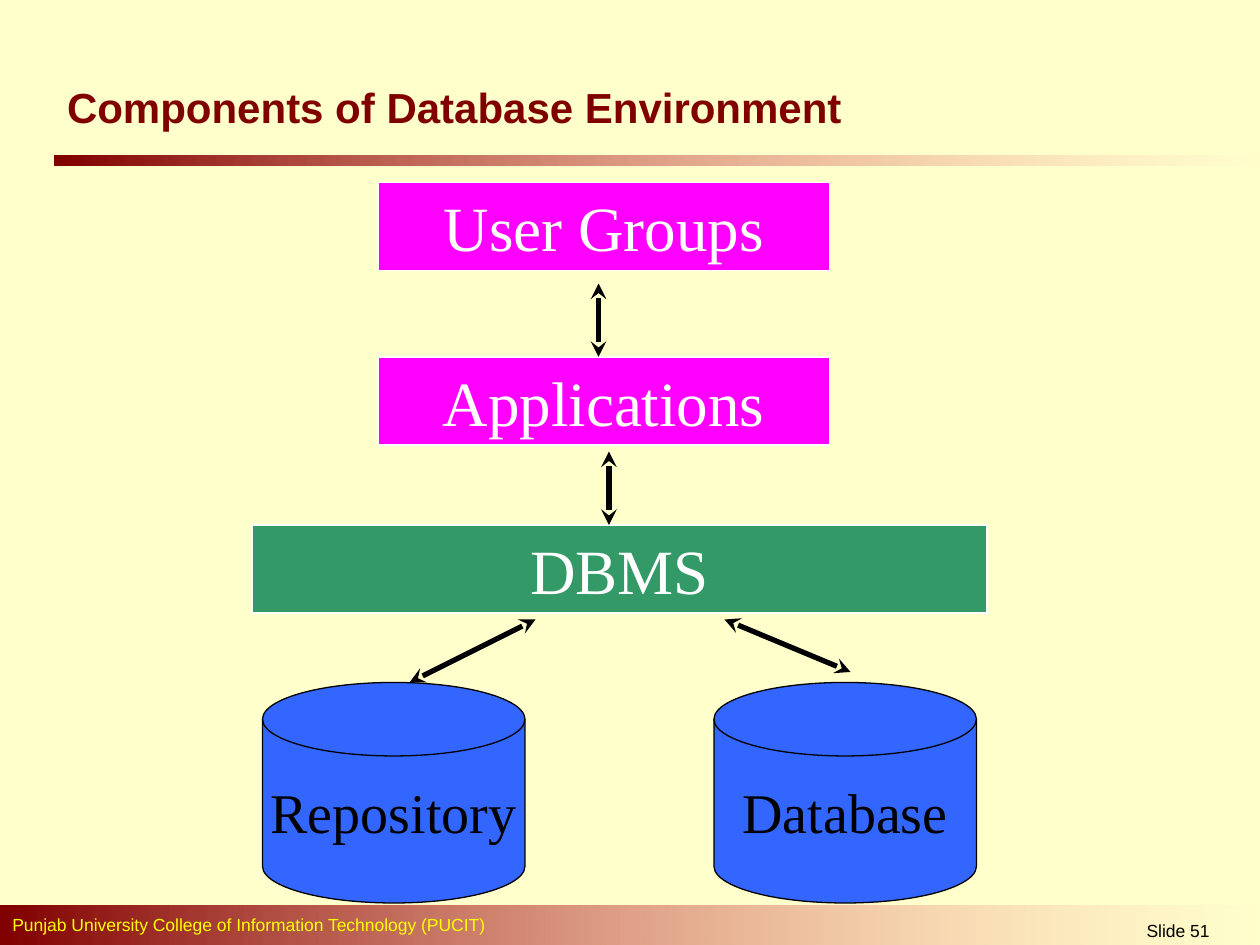
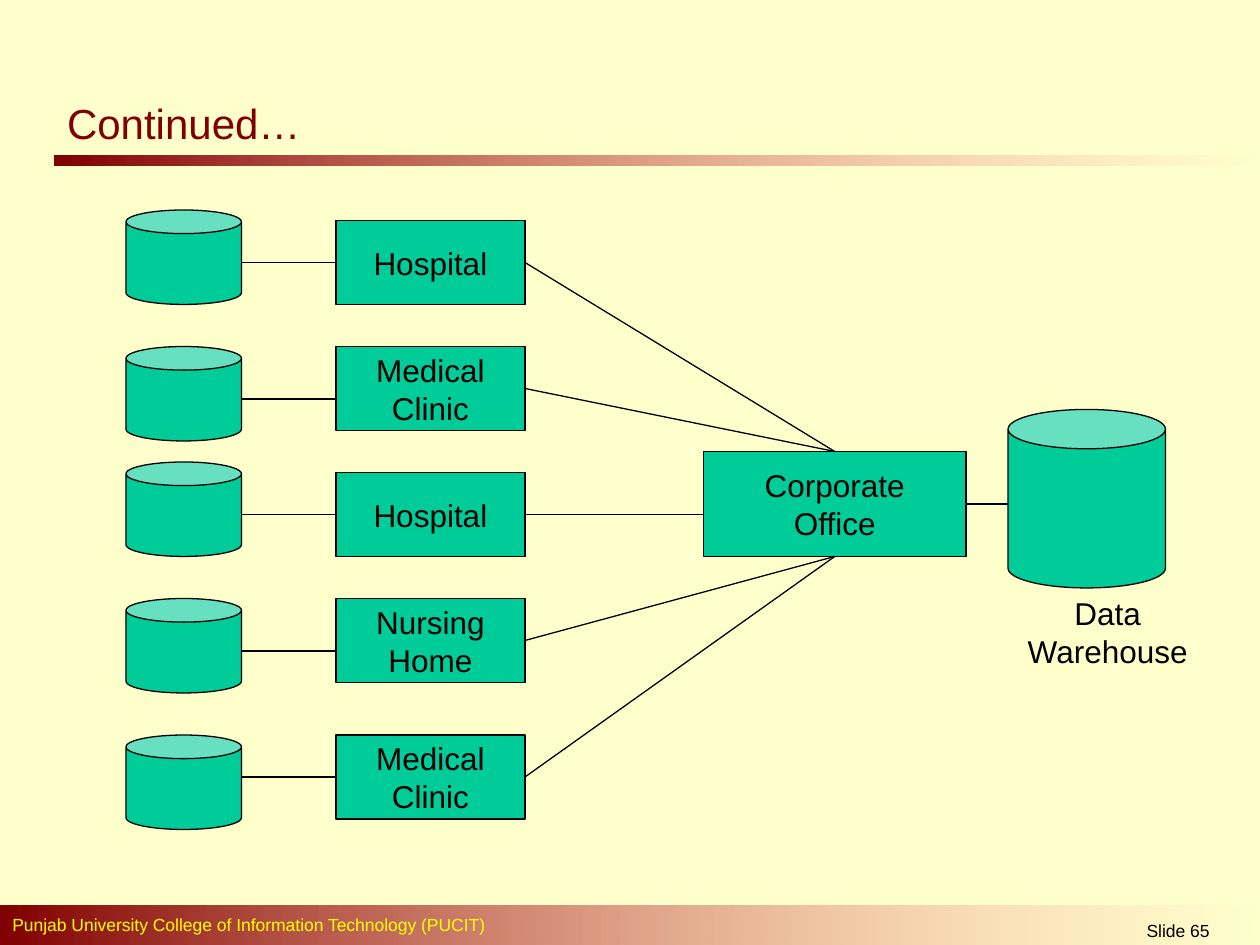
from pptx import Presentation
from pptx.dml.color import RGBColor
from pptx.enum.shapes import MSO_CONNECTOR as Wire, MSO_SHAPE as Kind
from pptx.enum.text import MSO_ANCHOR as Anchor, PP_ALIGN as Align
from pptx.oxml.ns import qn
from pptx.oxml.xmlchemy import OxmlElement as Node
from pptx.util import Inches, Pt

WIDE, HIGH = Inches(10), Inches(7.5)
COLS, ROWS = 120, 90
CREAM, WINE, ROSE, YELLOW = "FFFFCC", "800000", "FF8585", "FFFF00"
BLACK, WHITE = "000000", "FFFFFF"
PINK, GREEN, BLUE, TEAL = "FF00FF", "339966", "3366FF", "00CC99"
SANS, SERIF = "Arial", "Times New Roman"
SCHOOL = "Punjab University College of Information Technology (PUCIT)"


def tint(code):
    """Turn a hex string into a colour."""
    return RGBColor.from_string(code)


def spot(col, row):
    """Turn a grid column and row into slide lengths."""
    return round(WIDE * col / COLS), round(HIGH * row / ROWS)


def write(shape, lines, size, color, font=SANS, bold=False, align=Align.CENTER, wrap=True):
    """Fill a shape with one paragraph per line."""
    frame = shape.text_frame
    frame.word_wrap = wrap
    frame.vertical_anchor = Anchor.MIDDLE
    for num, line in enumerate(lines):
        para = frame.add_paragraph() if num else frame.paragraphs[0]
        para.alignment = align
        run = para.add_run()
        run.text = line
        run.font.size, run.font.name, run.font.bold = Pt(size), font, bold
        run.font.color.rgb = tint(color)


def label(page, place, text, size, color, **look):
    """Add a text box."""
    box = page.shapes.add_textbox(*spot(*place[:2]), *spot(*place[2:]))
    write(box, [text], size, color, **look)


def block(page, kind, place, fill=None, edge=None):
    """Add a preset shape."""
    shape = page.shapes.add_shape(kind, *spot(*place[:2]), *spot(*place[2:]))
    shape.shadow.inherit = False
    if fill:
        shape.fill.solid()
        shape.fill.fore_color.rgb = tint(fill)
    if edge:
        shape.line.color.rgb = tint(edge)
        shape.line.width = Pt(0.75)
    else:
        shape.line.fill.background()
    return shape


def band(page, place):
    """Add a bar that fades out to the right."""
    bar = block(page, Kind.RECTANGLE, place)
    bar.fill.gradient()
    bar.fill.gradient_angle = 0
    for stop, code in zip(bar.fill.gradient_stops, (WINE, ROSE)):
        stop.color.rgb = tint(code)
    alpha = Node("a:alpha")
    alpha.set("val", "0")
    list(bar.fill._xPr.iter(qn("a:srgbClr")))[-1].append(alpha)


def sides(box):
    """List the side middles of a box: top, left, bottom, right."""
    mid, half = box.left + box.width // 2, box.top + box.height // 2
    return [(mid, box.top), (box.left, half),
            (mid, box.top + box.height), (box.left + box.width, half)]


def link(page, start, end, width=0.75, tips=False, boxes=()):
    """Draw a line, joined to any box whose side middle it meets."""
    start, end = spot(*start), spot(*end)
    line = page.shapes.add_connector(Wire.STRAIGHT, *start, *end)
    line.line.color.rgb = tint(BLACK)
    line.line.width = Pt(width)
    if tips:
        for name in ("a:headEnd", "a:tailEnd"):
            tip = Node(name)
            tip.set("type", "stealth")
            line.line._get_or_add_ln().append(tip)
    line._element.spPr.append(Node("a:effectLst"))
    for box in boxes:
        mids = sides(box)
        if start in mids:
            line.begin_connect(box, mids.index(start))
        if end in mids:
            line.end_connect(box, mids.index(end))


def start_page(deck, title, row, number, bold=False):
    """Add a slide with its title, bands and footer."""
    page = deck.slides.add_slide(deck.slide_layouts[6])
    page.background.fill.solid()
    page.background.fill.fore_color.rgb = tint(CREAM)
    band(page, (5.2, 14.8, 114.8, 1))
    band(page, (0, 86.2, 120, 3.8))
    label(page, (0, 86.4, 77, 3.2), SCHOOL, 10, YELLOW, align=Align.LEFT)
    label(page, (99.7, 87.2, 25, 2.9), f"Slide {number}", 10, BLACK)
    label(page, (5.2, row, 82, 6), title, 24, WINE, bold=bold, align=Align.LEFT)
    return page


def draw_parts(deck):
    """Draw the layers of the database environment."""
    page = start_page(deck, "Components of Database Environment", 7.2, 51, True)
    layers = [("User Groups", PINK, 36, 17.4, 43),
              ("Applications", PINK, 36, 34, 43), ("DBMS", GREEN, 24, 50, 70)]
    for text, fill, col, row, width in layers:
        bar = block(page, Kind.RECTANGLE, (col, row, width, 8.4), fill, WHITE)
        write(bar, [text], 36, WHITE, SERIF)
    for text, col in (("Repository", 25), ("Database", 68)):
        disk = block(page, Kind.FLOWCHART_MAGNETIC_DISK, (col, 65, 25, 21), BLUE, BLACK)
        write(disk, [text], 32, BLACK, SERIF, wrap=False)
    arrows = [((57, 27), (57, 34)), ((58, 43), (58, 50)),
              ((51, 59), (39, 65)), ((69, 59), (81, 64))]
    for start, end in arrows:
        link(page, start, end, 3, True)


def draw_sites(deck):
    """Draw the sites that feed the data warehouse."""
    page = start_page(deck, "Continued…", 8.7, 65)
    block(page, Kind.CAN, (96, 39, 15, 17), TEAL, BLACK)
    office = block(page, Kind.RECTANGLE, (67, 43, 25, 10), TEAL, BLACK)
    write(office, ["Corporate", "Office"], 18, BLACK, wrap=False)
    link(page, (92, 48), (96, 48), boxes=[office])
    top, left, base = (79.5, 43), (67, 49), (79.5, 53)
    sites = [(["Hospital"], 21, 20, 25, top),
             (["Medical", "Clinic"], 33, 33, 38, top),
             (["Hospital"], 45, 44, 49, left),
             (["Nursing", "Home"], 57, 57, 62, base),
             (["Medical", "Clinic"], 70, 70, 74, base)]
    for lines, row, can, wire, goal in sites:
        block(page, Kind.CAN, (12, can, 11, 9), TEAL, BLACK)
        site = block(page, Kind.RECTANGLE, (32, row, 18, 8), TEAL, BLACK)
        write(site, lines, 18, BLACK, wrap=False)
        link(page, (23, wire), (32, wire), boxes=[site])
        link(page, (50, row + 4), goal, boxes=[site, office])
    label(page, (96, 56, 19, 8.4), "Data Warehouse", 18, BLACK)


def main():
    """Build the deck and save it."""
    deck = Presentation()
    deck.slide_width, deck.slide_height = WIDE, HIGH
    draw_parts(deck)
    draw_sites(deck)
    deck.save("out.pptx")


if __name__ == "__main__":
    main()
